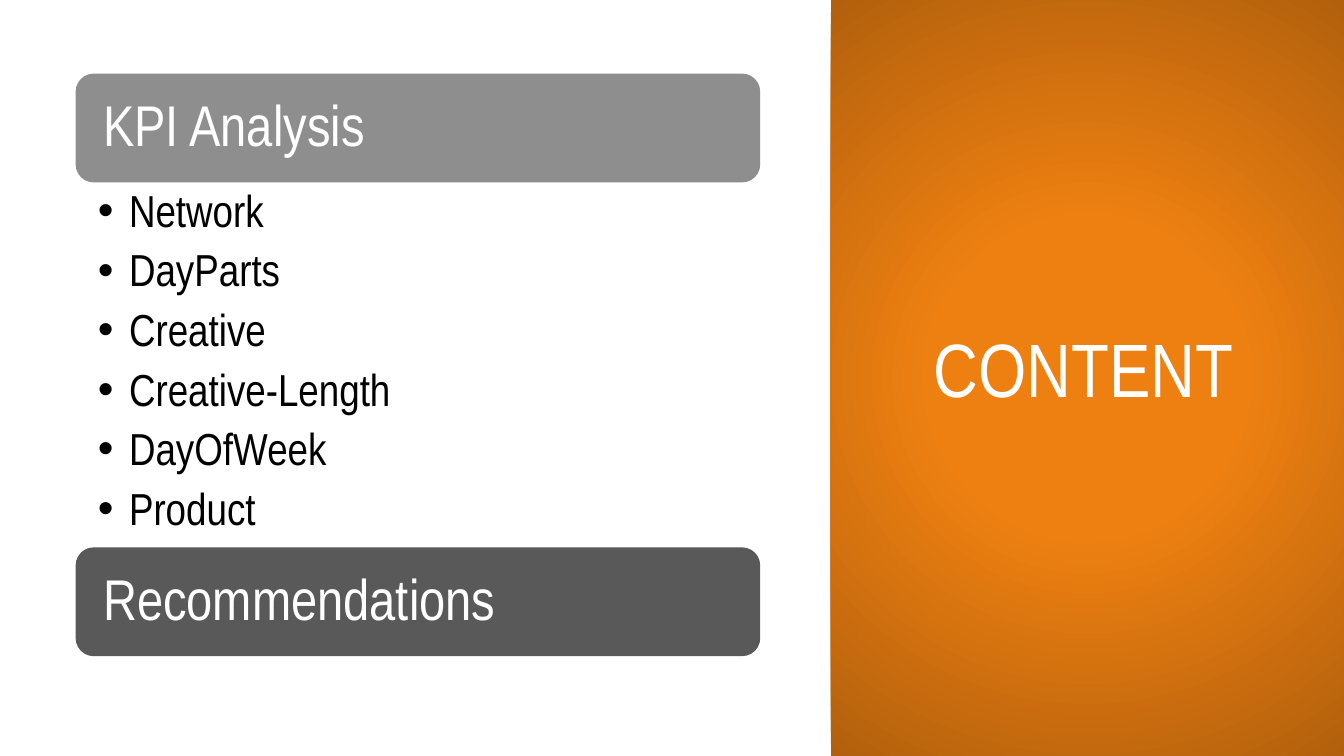
from dataclasses import dataclass

from lxml import etree
from pptx import Presentation
from pptx.dml.color import RGBColor
from pptx.enum.shapes import MSO_SHAPE
from pptx.enum.text import MSO_ANCHOR, MSO_AUTO_SIZE, PP_ALIGN
from pptx.oxml.ns import qn
from pptx.util import Inches, Pt


@dataclass(frozen=True)
class Theme:
    font: str = "Arial Narrow"
    white: RGBColor = RGBColor.from_string("FFFFFF")
    black: RGBColor = RGBColor.from_string("000000")
    orange: RGBColor = RGBColor.from_string("EE8011")
    dark_orange: RGBColor = RGBColor.from_string("B2600D")
    light_gray: RGBColor = RGBColor.from_string("8E8E8E")
    dark_gray: RGBColor = RGBColor.from_string("595959")
    title_size: int = 54
    heading_size: int = 41
    list_size: int = 32


THEME = Theme()
TOPICS = ["Network", "DayParts", "Creative", "Creative-Length", "DayOfWeek", "Product"]


def format_paragraph(paragraph, size, color):
    paragraph.font.name = THEME.font
    paragraph.font.size = Pt(size)
    paragraph.font.color.rgb = color
    paragraph.alignment = PP_ALIGN.LEFT
    paragraph.line_spacing = 0.9
    paragraph.space_before = Pt(0)


def set_frame(text_frame, anchor, left, top, right, bottom):
    text_frame.word_wrap = True
    text_frame.auto_size = MSO_AUTO_SIZE.NONE
    text_frame.vertical_anchor = anchor
    text_frame.margin_left, text_frame.margin_top = Inches(left), Inches(top)
    text_frame.margin_right, text_frame.margin_bottom = Inches(right), Inches(bottom)


def place(shape, left, top, width, height):
    shape.left, shape.top = Inches(left), Inches(top)
    shape.width, shape.height = Inches(width), Inches(height)


def apply_radial_gradient(fill):
    fill.gradient()
    inner, outer = fill.gradient_stops
    inner.color.rgb, inner.position = THEME.orange, 0.34
    outer.color.rgb, outer.position = THEME.dark_orange, 1
    gradient = inner._gs.getparent().getparent()
    gradient.remove(gradient.find(qn("a:lin")))
    circle = etree.SubElement(gradient, qn("a:path"), path="circle")
    etree.SubElement(circle, qn("a:fillToRect"), l="50000", t="50000", r="50000", b="50000")


def add_title_panel(slide, left, top, width, height):
    panel = slide.shapes.add_shape(
        MSO_SHAPE.RECTANGLE, Inches(left), Inches(top), Inches(width), Inches(height))
    panel.shadow.inherit = False
    panel.line.fill.background()
    apply_radial_gradient(panel.fill)
    title = slide.shapes.title
    title._element.addprevious(panel._element)
    place(title, left + 0.92, top + 0.75, 3.39, 5.91)
    title.text_frame.text = "CONTENT"
    set_frame(title.text_frame, MSO_ANCHOR.MIDDLE, 0.1, 0.05, 0.1, 0.05)
    format_paragraph(title.text_frame.paragraphs[0], THEME.title_size, THEME.white)


def add_heading_bar(slide, text, color, left, top, width, height):
    bar = slide.shapes.add_shape(
        MSO_SHAPE.ROUNDED_RECTANGLE, Inches(left), Inches(top), Inches(width), Inches(height))
    bar.shadow.inherit = False
    bar.fill.solid()
    bar.fill.fore_color.rgb = color
    bar.line.fill.background()
    bar.text_frame.text = text
    set_frame(bar.text_frame, MSO_ANCHOR.MIDDLE, 0.22, 0.17, 0.22, 0.17)
    format_paragraph(bar.text_frame.paragraphs[0], THEME.heading_size, THEME.white)


def fill_topic_list(slide, left, top, width, height):
    body = slide.placeholders[1]
    place(body, left, top, width, height)
    body.text_frame.text = "\n".join(TOPICS)
    set_frame(body.text_frame, MSO_ANCHOR.TOP, 0.22, 0.06, 0.32, 0.06)
    for paragraph in body.text_frame.paragraphs:
        format_paragraph(paragraph, THEME.list_size, THEME.black)
        paragraph.space_after = Pt(8)
        properties = paragraph._p.get_or_add_pPr()
        properties.set("marL", str(Inches(0.31)))
        properties.set("indent", str(Inches(-0.31)))
        etree.SubElement(properties, qn("a:buChar"), char="•")
        properties.append(properties.find(qn("a:defRPr")))


def add_agenda(slide, left, top, width, bar_height, list_height):
    list_top = top + bar_height
    add_heading_bar(slide, "KPI Analysis", THEME.light_gray, left, top, width, bar_height)
    fill_topic_list(slide, left, list_top, width, list_height)
    add_heading_bar(slide, "Recommendations", THEME.dark_gray,
                    left, list_top + list_height, width, bar_height)


def main():
    presentation = Presentation()
    presentation.slide_width = Inches(13.33)
    presentation.slide_height = Inches(7.5)
    slide = presentation.slides.add_slide(presentation.slide_layouts[1])
    add_title_panel(slide, 8.24, 0, 5.09, 7.5)
    add_agenda(slide, 0.75, 0.73, 6.79, 1.08, 3.62)
    presentation.save("out.pptx")


if __name__ == "__main__":
    main()
